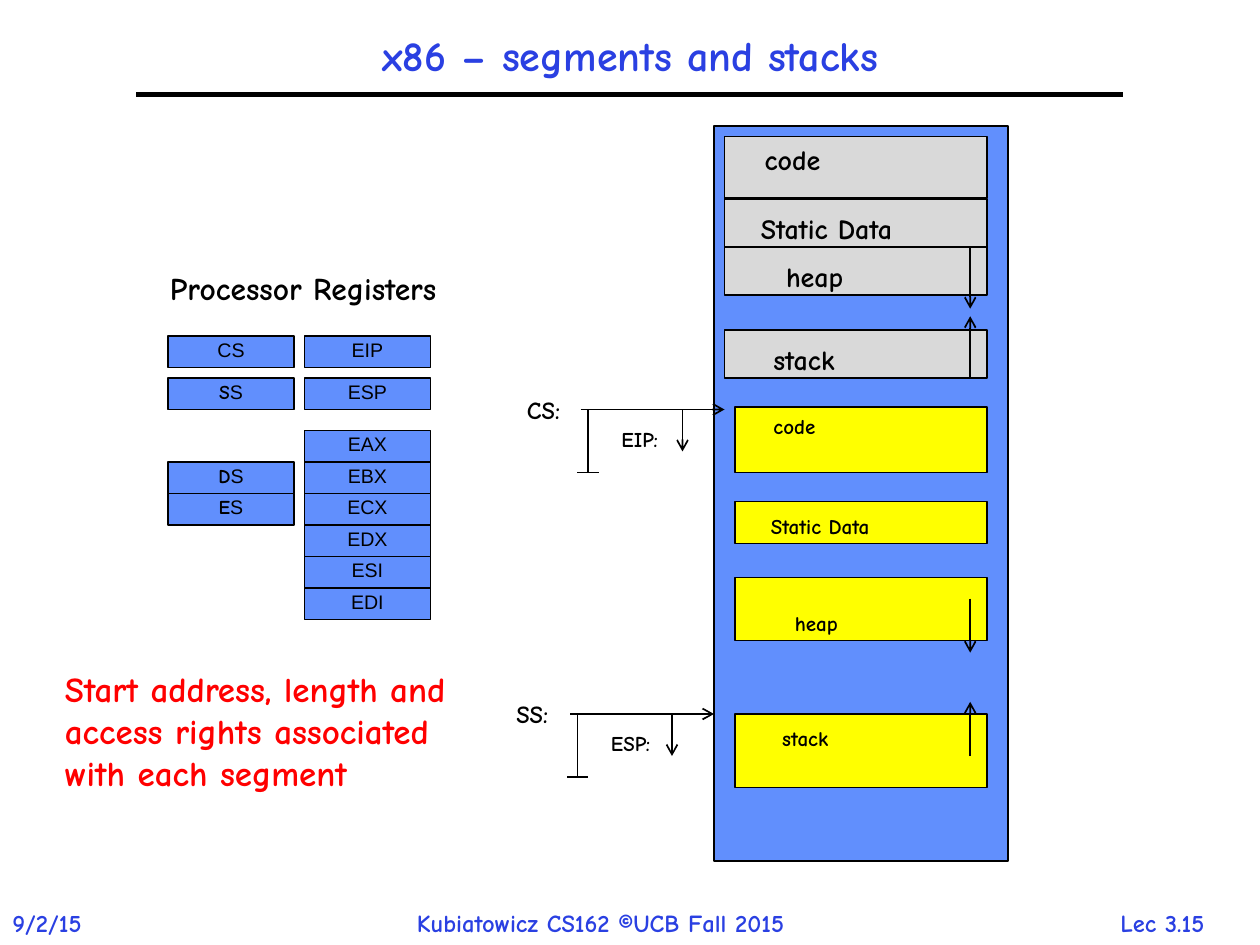
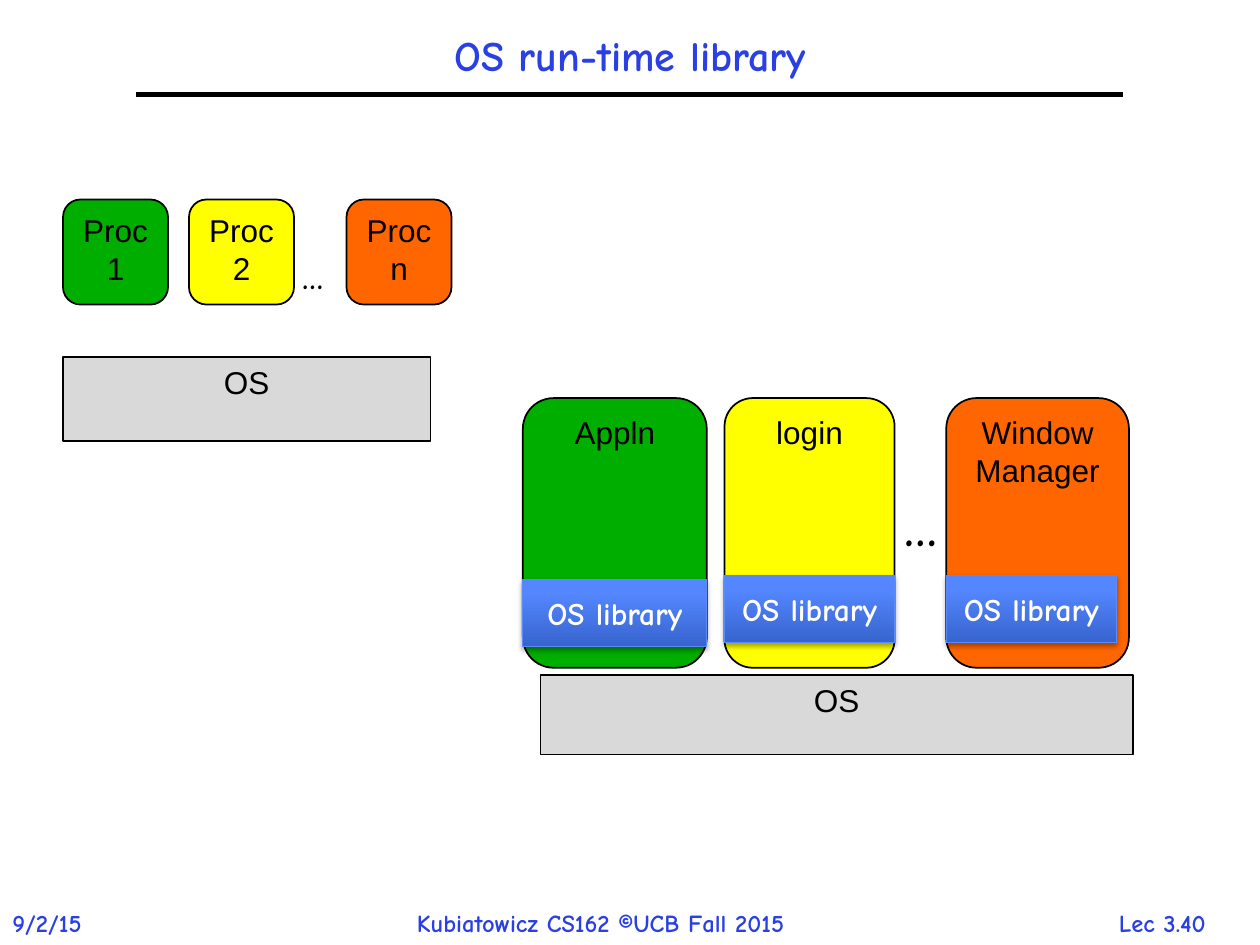
from dataclasses import dataclass
from typing import Any

from lxml import etree
from pptx import Presentation
from pptx.dml.color import RGBColor
from pptx.enum.shapes import MSO_CONNECTOR, MSO_SHAPE
from pptx.enum.text import MSO_ANCHOR, MSO_AUTO_SIZE, PP_ALIGN
from pptx.oxml.ns import qn
from pptx.util import Inches, Pt

STRAIGHT = MSO_CONNECTOR.STRAIGHT
RECT, ROUNDED = MSO_SHAPE.RECTANGLE, MSO_SHAPE.ROUNDED_RECTANGLE
TOP, MIDDLE = MSO_ANCHOR.TOP, MSO_ANCHOR.MIDDLE
LEFT, CENTER = PP_ALIGN.LEFT, PP_ALIGN.CENTER
FIT_SHAPE, NO_FIT = MSO_AUTO_SIZE.SHAPE_TO_FIT_TEXT, MSO_AUTO_SIZE.NONE

BLACK = RGBColor(0x00, 0x00, 0x00)
WHITE = RGBColor(0xFF, 0xFF, 0xFF)
TITLE_BLUE = RGBColor(0x2A, 0x40, 0xE2)
MEMORY_BLUE = RGBColor(0x61, 0x8F, 0xFD)
GRAY = RGBColor(0xD9, 0xD9, 0xD9)
YELLOW = RGBColor(0xFF, 0xFF, 0x00)
GREEN = RGBColor(0x00, 0xAE, 0x00)
ORANGE = RGBColor(0xFF, 0x66, 0x00)
RED = RGBColor(0xFF, 0x00, 0x00)
LIBRARY_DARK = RGBColor(0x37, 0x64, 0xCE)
LIBRARY_LIGHT = RGBColor(0x54, 0x87, 0xFF)
LIBRARY_EDGE = RGBColor(0x5B, 0x8A, 0xFB)

HAND, PLAIN = "Comic Neue", "Arial"
COLUMNS, ROWS = 120, 90
SLIDE_WIDTH, SLIDE_HEIGHT = Inches(10), Inches(7.5)


def style_font(font, size, color, name):
    font.size = Pt(size)
    font.name = name
    font.bold = name == HAND
    font.color.rgb = color


@dataclass
class Region:
    slide: Any
    left: float = 0
    top: float = 0

    def point(self, column, row):
        return (round((self.left + column) * SLIDE_WIDTH / COLUMNS),
                round((self.top + row) * SLIDE_HEIGHT / ROWS))

    def frame(self, column, row, width, height):
        return (*self.point(column, row),
                round(width * SLIDE_WIDTH / COLUMNS),
                round(height * SLIDE_HEIGHT / ROWS))

    def block(self, box, fill, text="", size=18, outline=RECT):
        shape = self.slide.shapes.add_shape(outline, *self.frame(*box))
        shape.shadow.inherit = False
        shape.fill.solid()
        shape.fill.fore_color.rgb = fill
        shape.line.color.rgb = BLACK
        shape.line.width = Pt(1)
        shape.text_frame.vertical_anchor = TOP
        if text:
            paragraph = shape.text_frame.paragraphs[0]
            paragraph.text = text
            paragraph.alignment = CENTER
            style_font(paragraph.font, size, BLACK, PLAIN)
        return shape

    def label(self, box, text, size, color=BLACK, wrap=False, align=LEFT):
        frame = self.slide.shapes.add_textbox(*self.frame(*box)).text_frame
        frame.word_wrap = wrap
        frame.auto_size = FIT_SHAPE
        paragraph = frame.paragraphs[0]
        paragraph.text = text
        paragraph.alignment = align
        style_font(paragraph.font, size, color, HAND)

    def line(self, start, end, arrow=False, width=1):
        connector = self.slide.shapes.add_connector(
            STRAIGHT, *self.point(*start), *self.point(*end))
        connector.line.color.rgb = BLACK
        connector.line.width = Pt(width)
        if arrow:
            etree.SubElement(connector.line._get_or_add_ln(),
                             qn("a:tailEnd"), type="arrow")
        etree.SubElement(connector._element.spPr, qn("a:effectLst"))


def add_slide(deck, heading, number):
    slide = deck.slides.add_slide(deck.slide_layouts[5])
    page = Region(slide)
    title = slide.shapes.title
    title.left, title.top, title.width, title.height = page.frame(13, 2, 94, 7)
    title.text_frame.auto_size = NO_FIT
    title.text_frame.vertical_anchor = MIDDLE
    paragraph = title.text_frame.paragraphs[0]
    paragraph.text = heading
    paragraph.alignment = CENTER
    paragraph.line_spacing = 0.9
    style_font(paragraph.font, 24, TITLE_BLUE, HAND)
    page.line((13, 9), (107, 9), width=3)
    for column, width, text, align in (
            (0, 10.56, "9/2/15", LEFT),
            (38.52, 43.32, "Kubiatowicz CS162 ©UCB Fall 2015", LEFT),
            (103.44, 14.52, f"Lec {number}", CENTER)):
        page.label((column, 85.92, width, 4), text, 14, TITLE_BLUE, align=align)
    return slide


def draw_registers(area):
    area.label((-1, -7, 32, 4.8), "Processor Registers", 18, wrap=True)
    segment_rows = {"CS": 0, "SS": 4, "DS": 12, "ES": 15}
    general_rows = {"EIP": 0, "ESP": 4}
    for index, name in enumerate(("EAX", "EBX", "ECX", "EDX", "ESI", "EDI")):
        general_rows[name] = 9 + 3 * index
    for column, registers in ((0, segment_rows), (13, general_rows)):
        for name, row in registers.items():
            register = area.block((column, row, 12, 3), MEMORY_BLUE)
            paragraph = register.text_frame.paragraphs[0]
            paragraph.alignment = CENTER
            paragraph.line_spacing = 0.8
            if name in ("SS", "DS", "ES"):
                for letter, font_name in zip(name, (HAND, PLAIN)):
                    run = paragraph.add_run()
                    run.text = letter
                    style_font(run.font, 11.2, BLACK, font_name)
            else:
                paragraph.text = name
                style_font(paragraph.font, 11.2, BLACK, PLAIN)


def draw_segments(area, left, width, fill, size, segments):
    for name, row, height, indent, drop, label_width in segments:
        area.block((left, row, width, height), fill)
        area.label((indent, row + drop, label_width, 3.6), name, size)


def draw_memory(area):
    area.block((0, 0, 28, 70), MEMORY_BLUE)
    draw_segments(area, 1, 25, GRAY, 16, (
        ("code", 1, 5.88, 3.64, 0, 9.36),
        ("Static Data", 6.96, 4.56, 3.28, 0.6, 17.76),
        ("heap", 11.52, 4.56, 5.68, 0.6, 9.6),
        ("stack", 19.44, 4.56, 4.48, 0.6, 10.08)))
    draw_segments(area, 2, 24, YELLOW, 12, (
        ("code", 26.76, 6.24, 4.48, 0, 7.8),
        ("Static Data", 35.76, 4, 4.24, 0.6, 14.04),
        ("heap", 43, 6, 6.52, 2.6, 7.92),
        ("stack", 56, 7, 5.32, 0.5, 8.16)))
    for start, end in ((24, 18.12), (11.52, 17.4), (60, 54.84), (45, 50.16)):
        area.line((24.4, start), (24.4, end), arrow=True)


def draw_pointer(area, segment, offset, offset_width):
    area.label((0, 0, 6.3, 4.08), segment, 14)
    area.line((6.3, 2), (20, 2), arrow=True)
    area.line((7, 2), (7, 8))
    area.line((6, 8), (8, 8))
    area.line((16, 2), (16, 6), arrow=True)
    area.label((9, 3, offset_width, 3.6), offset, 12)


def draw_processes(area):
    area.block((0, 15, 35, 8), GRAY, "OS")
    for column, name, color in ((0, "Proc 1", GREEN), (12, "Proc 2", YELLOW),
                                (27, "Proc n", ORANGE)):
        area.block((column, 0, 10, 10), color, name, outline=ROUNDED)
    area.label((21.6, 5, 5.4, 4.8), "…", 18)


def draw_library(area, box):
    library = area.block(box, LIBRARY_LIGHT, "OS library")
    library.fill.gradient()
    library.fill.gradient_angle = 90
    for stop, position, color in zip(library.fill.gradient_stops, (0, 0.8),
                                     (LIBRARY_DARK, LIBRARY_LIGHT)):
        stop.position = position
        stop.color.rgb = color
    library.line.color.rgb = LIBRARY_EDGE
    library.line.width = Pt(0.75)
    effects = library._element.spPr.find(qn("a:effectLst"))
    shadow = etree.SubElement(effects, qn("a:outerShdw"), blurRad=str(Pt(3.1)),
                              dist=str(Pt(1.8)), dir="5400000", rotWithShape="0")
    tint = etree.SubElement(shadow, qn("a:srgbClr"), val=str(BLACK))
    etree.SubElement(tint, qn("a:alpha"), val="35000")
    library.text_frame.vertical_anchor = MIDDLE
    style_font(library.text_frame.paragraphs[0].font, 18, WHITE, HAND)


def draw_applications(area):
    applications = (("Appln", GREEN, 0, 17.52, 17.52, 17.28),
                    ("login", YELLOW, 19.2, 16.2, 16.2, 16.92),
                    ("Window Manager", ORANGE, 40.32, 17.4, 16.2, 16.92))
    area.block((1.68, 26.4, 56.4, 7.56), GRAY, "OS")
    for name, color, column, width, _, _ in applications:
        area.block((column, 0, width, 25.68), color, name, outline=ROUNDED)
    area.label((35.16, 8.88, 7.8, 6.84), "…", 28, wrap=True)
    for _, _, column, _, width, row in applications:
        draw_library(area, (column, row, width, 6.36))


def build_segments_slide(deck):
    slide = add_slide(deck, "x86 – segments and stacks", "3.15")
    draw_registers(Region(slide, 16, 32))
    draw_memory(Region(slide, 68, 12))
    draw_pointer(Region(slide, 49, 37), "CS:", "EIP:", 6.24)
    draw_pointer(Region(slide, 48, 66), "SS:", "ESP:", 7.08)
    Region(slide).label(
        (5, 63, 42.24, 17.4),
        "Start address, length and access rights associated with each segment",
        20, RED, wrap=True)


def build_library_slide(deck):
    slide = add_slide(deck, "OS run-time library", "3.40")
    draw_processes(Region(slide, 6, 19))
    draw_applications(Region(slide, 49.8, 37.92))


def main():
    deck = Presentation()
    deck.slide_width, deck.slide_height = SLIDE_WIDTH, SLIDE_HEIGHT
    build_segments_slide(deck)
    build_library_slide(deck)
    deck.save("out.pptx")


if __name__ == "__main__":
    main()
